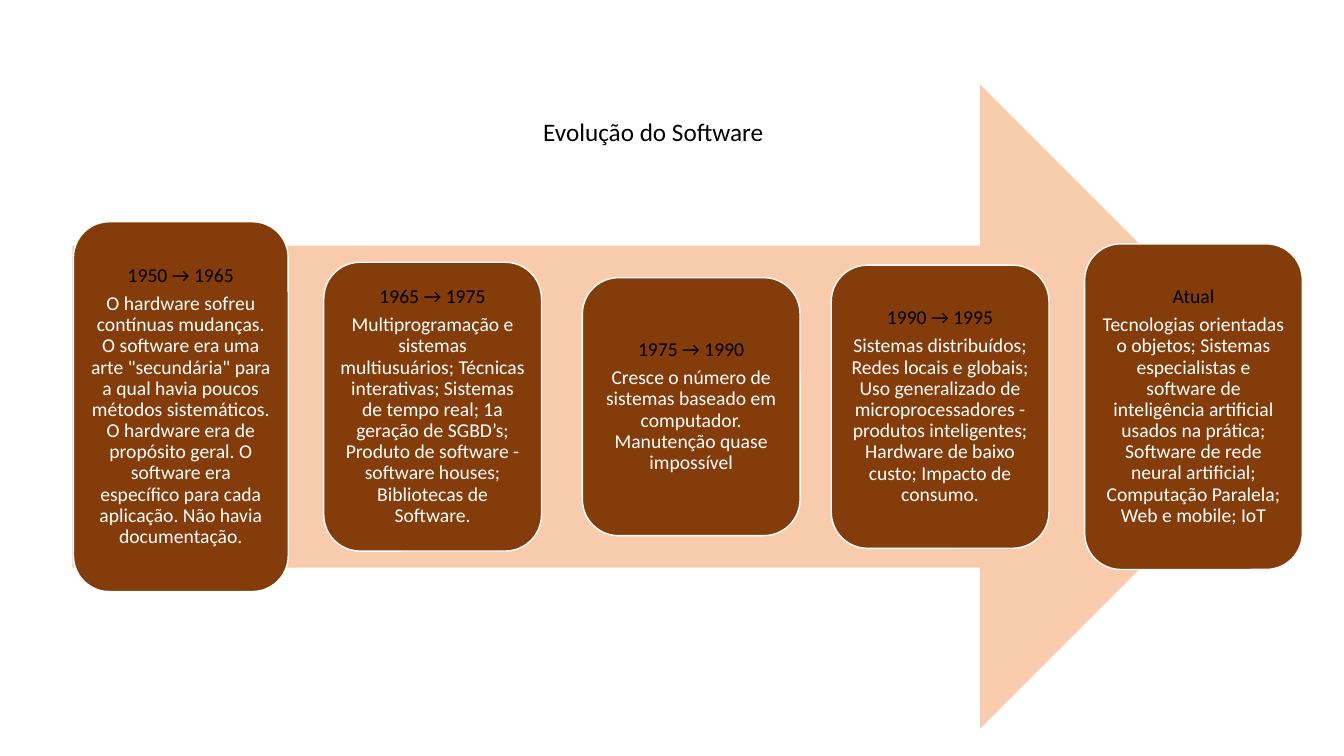
from pptx import Presentation
from pptx.dml.color import RGBColor
from pptx.enum.shapes import MSO_SHAPE
from pptx.enum.text import MSO_ANCHOR, MSO_AUTO_SIZE, PP_ALIGN
from pptx.util import Pt

ARROW, CARD = MSO_SHAPE.RIGHT_ARROW, MSO_SHAPE.ROUNDED_RECTANGLE
MIDDLE, CENTER = MSO_ANCHOR.MIDDLE, PP_ALIGN.CENTER
FIT_SHAPE = MSO_AUTO_SIZE.SHAPE_TO_FIT_TEXT

PEACH = RGBColor(0xF8, 0xCB, 0xAD)
BROWN = RGBColor(0x84, 0x3C, 0x0B)
WHITE = RGBColor(0xFF, 0xFF, 0xFF)
BLACK = RGBColor(0x00, 0x00, 0x00)
FONT = "Calibri"

# Offset from the arrow's left edge, width, height, period, description
ERAS = [
    (0.7, 153.4, 264.2, "1950 → 1965",
     "O hardware sofreu contínuas mudanças. O software era uma arte "
     "\"secundária\" para a qual havia poucos métodos sistemáticos. "
     "O hardware era de propósito geral. O software era específico para "
     "cada aplicação. Não havia documentação."),
    (179.5, 155.5, 206.3, "1965 → 1975",
     "Multiprogramação e sistemas multiusuários; Técnicas interativas; "
     "Sistemas de tempo real; 1a geração de SGBD’s; Produto de software - "
     "software houses; Bibliotecas de Software."),
    (364.2, 155.5, 184.3, "1975 → 1990",
     "Cresce o número de sistemas baseado em computador. "
     "Manutenção quase impossível"),
    (542, 155.5, 202.3, "1990 → 1995",
     "Sistemas distribuídos; Redes locais e globais; Uso generalizado de "
     "microprocessadores - produtos inteligentes; Hardware de baixo custo; "
     "Impacto de consumo."),
    (723, 155.5, 232.6, "Atual",
     "Tecnologias orientadas o objetos; Sistemas especialistas e software de "
     "inteligência artificial usados na prática; Software de rede neural "
     "artificial; Computação Paralela; Web e mobile; IoT"),
]


def set_font(p, size, color):
    for r in p.runs:
        r.font.name = FONT
        r.font.size = Pt(size)
        r.font.color.rgb = color


def add_filled(slide, kind, box, color):
    sp = slide.shapes.add_shape(kind, *map(Pt, box))
    sp.shadow.inherit = False
    sp.fill.solid()
    sp.fill.fore_color.rgb = color
    return sp


def add_era(slide, box, period, description):
    sp = add_filled(slide, CARD, box, BROWN)
    sp.line.color.rgb = WHITE
    sp.line.width = Pt(1)
    tf = sp.text_frame
    tf.word_wrap = True
    tf.vertical_anchor = MIDDLE
    tf.margin_left = tf.margin_right = Pt(4.2)
    tf.margin_top = tf.margin_bottom = Pt(4.2)
    tf.text = f"{period}\n{description}"
    for p, color in zip(tf.paragraphs, (BLACK, WHITE)):
        p.alignment = CENTER
        p.line_spacing = 0.9
        p.space_after = Pt(4.9)
        set_font(p, 14, color)


def add_timeline(slide, left, top, width, height):
    """Arrow filling the box, with the era cards centred on its axis."""
    arrow = add_filled(slide, ARROW, (left, top, width, height), PEACH)
    arrow.line.fill.background()
    axis = top + height / 2
    for dx, w, h, period, description in ERAS:
        add_era(slide, (left + dx, axis - h / 2, w, h), period, description)


def add_title(slide, left, top, width, height):
    sp = slide.shapes.add_textbox(Pt(left), Pt(top), Pt(width), Pt(height))
    tf = sp.text_frame
    tf.word_wrap = False
    tf.auto_size = FIT_SHAPE
    tf.text = "Evolução do Software"
    set_font(tf.paragraphs[0], 18, BLACK)


def main():
    prs = Presentation()
    prs.slide_width, prs.slide_height = Pt(960), Pt(540)
    slide = prs.slides.add_slide(prs.slide_layouts[6])
    add_timeline(slide, 51.8, 60.5, 878.4, 460)
    add_title(slide, 380.9, 79.2, 174.2, 29)
    prs.save("out.pptx")


if __name__ == "__main__":
    main()
